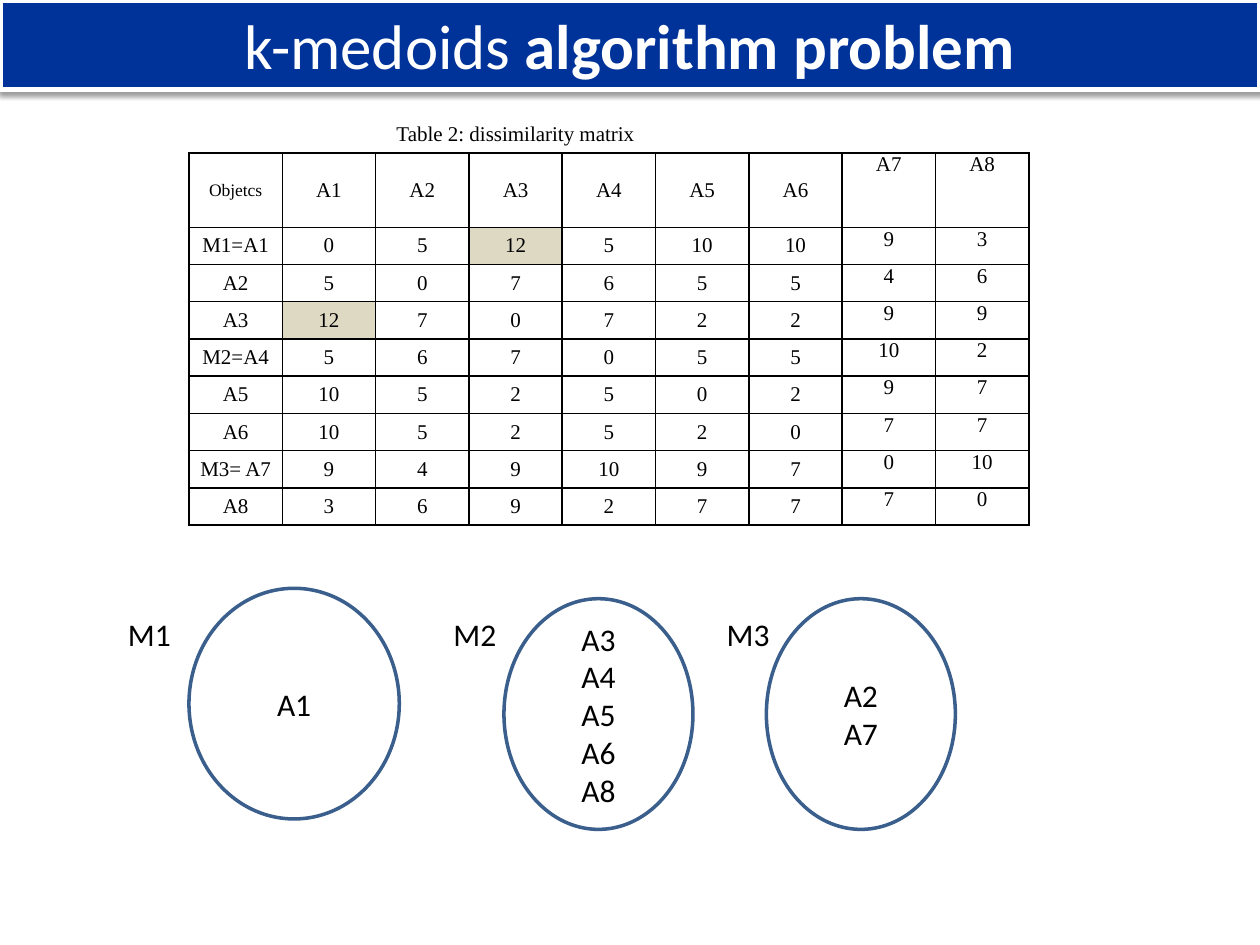
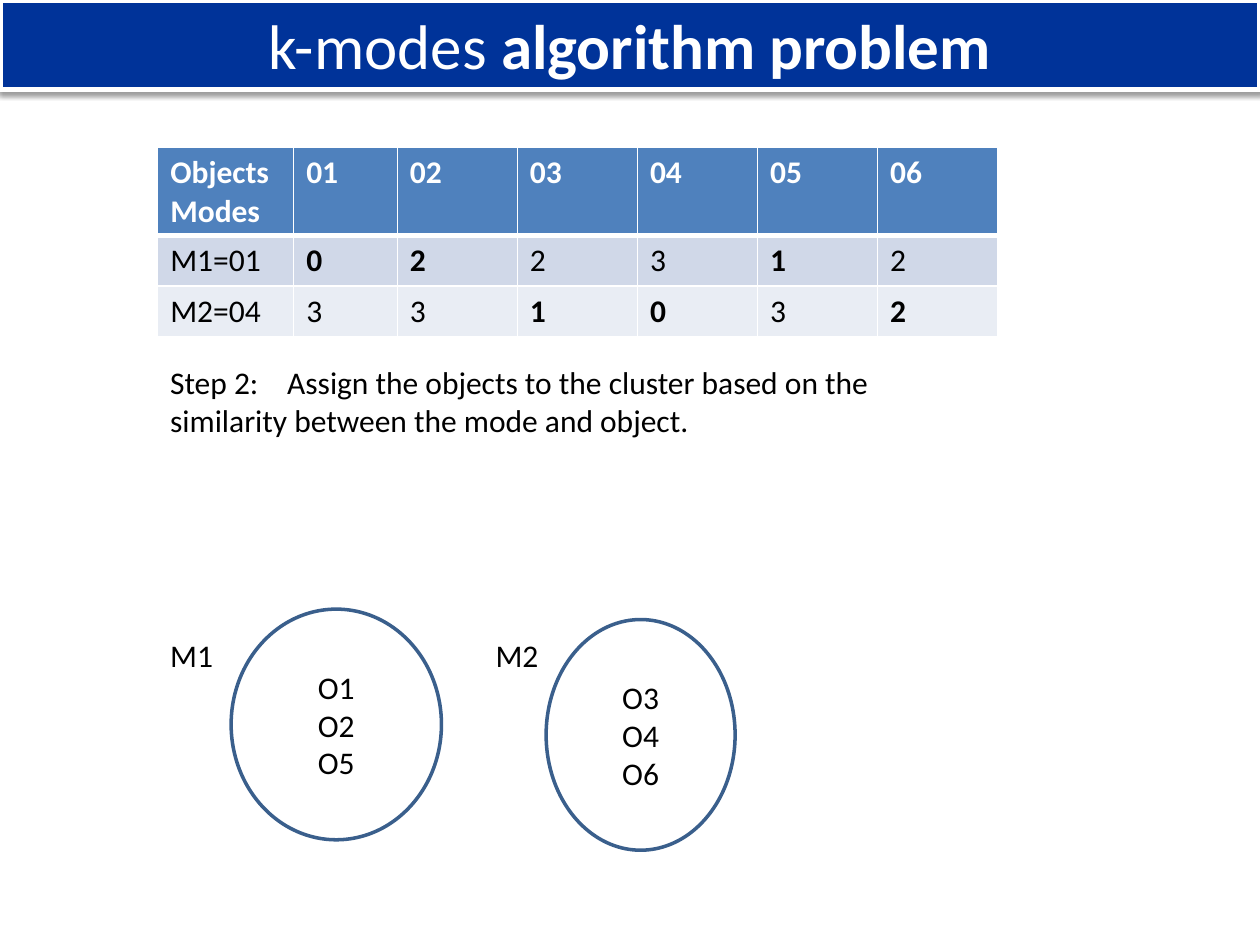
"""Build two slides on the k-medoids and k-modes clustering problems."""
from lxml import etree
from pptx import Presentation
from pptx.dml.color import RGBColor
from pptx.enum.shapes import MSO_SHAPE
from pptx.enum.text import MSO_ANCHOR, PP_ALIGN
from pptx.oxml.ns import qn
from pptx.util import Cm, Pt

RECT, OVAL = MSO_SHAPE.RECTANGLE, MSO_SHAPE.OVAL
TOP, MIDDLE = MSO_ANCHOR.TOP, MSO_ANCHOR.MIDDLE
LEFT, CENTER = PP_ALIGN.LEFT, PP_ALIGN.CENTER

NAVY = RGBColor(0x00, 0x33, 0x99)
WHITE = RGBColor(0xFF, 0xFF, 0xFF)
BLACK = RGBColor(0x00, 0x00, 0x00)
RING_BLUE = RGBColor(0x3A, 0x5F, 0x8C)
HEADER_BLUE = RGBColor(0x4F, 0x81, 0xBD)
BAND_FILLS = [RGBColor(0xD0, 0xD8, 0xE8), RGBColor(0xE9, 0xED, 0xF4)]
BEIGE = RGBColor(0xDD, 0xD9, 0xC3)

SANS, SERIF = "Calibri", "Times New Roman"
SLIDE_W, SLIDE_H = 25.4, 19.05

CAPTION = "Table 2: dissimilarity matrix"
CAPTION_SPAN = 7
LARGEST = "12"
DISSIMILARITY = [
    ["Objetcs", "A1", "A2", "A3", "A4", "A5", "A6", "A7", "A8"],
    ["M1=A1", "0", "5", "12", "5", "10", "10", "9", "3"],
    ["A2", "5", "0", "7", "6", "5", "5", "4", "6"],
    ["A3", "12", "7", "0", "7", "2", "2", "9", "9"],
    ["M2=A4", "5", "6", "7", "0", "5", "5", "10", "2"],
    ["A5", "10", "5", "2", "5", "0", "2", "9", "7"],
    ["A6", "10", "5", "2", "5", "2", "0", "7", "7"],
    ["M3= A7", "9", "4", "9", "10", "9", "7", "0", "10"],
    ["A8", "3", "6", "9", "2", "7", "7", "7", "0"],
]
MEDOID_CLUSTERS = [["A1"], ["A3", "A4", "A5", "A6", "A8"], ["A2", "A7"]]

MODES = [
    ["Objects\nModes", "01", "02", "03", "04", "05", "06"],
    ["M1=01", "0", "2", "2", "3", "1", "2"],
    ["M2=04", "3", "3", "1", "0", "3", "2"],
]
MODE_CLUSTERS = [["O1", "O2", "O5"], ["O3", "O4", "O6"]]
STEP = ("Step 2:\tAssign the objects to the cluster based on the "
        "similarity between the mode and object.")

RINGS = [(3.81, 11.86, 4.24), (10.16, 12.07, 3.81), (15.45, 12.07, 3.81)]
RING_H = 4.65
LABEL_LEFTS = [2.33, 8.89, 14.4]
LABEL_TOP = 12.28


def style(tf, size, font=SANS, color=BLACK, bold=False, align=LEFT):
    for p in tf.paragraphs:
        p.alignment = align
        for r in p.runs:
            r.font.size, r.font.name, r.font.bold = Pt(size), font, bold
            r.font.color.rgb = color


def add_text(shapes, text, x, y, w, h):
    tf = shapes.add_textbox(Cm(x), Cm(y), Cm(w), Cm(h)).text_frame
    tf.word_wrap = True
    tf.text = text
    style(tf, 18)
    return tf


def add_slide(prs, topic):
    s = prs.slides.add_slide(prs.slide_layouts[6])
    band = s.shapes.add_shape(RECT, 0, 0, Cm(SLIDE_W), Cm(1.8))
    band.fill.solid()
    band.fill.fore_color.rgb = NAVY
    band.line.color.rgb = WHITE
    band.line.width = Pt(3)
    band.shadow.inherit = False
    effects = band._element.spPr.find(qn("a:effectLst"))
    shadow = etree.SubElement(effects, qn("a:outerShdw"), blurRad="40000",
                              dist="20000", dir="5400000", rotWithShape="0")
    tone = etree.SubElement(shadow, qn("a:srgbClr"), val=str(BLACK))
    etree.SubElement(tone, qn("a:alpha"), val="38000")
    tf = band.text_frame
    tf.vertical_anchor = TOP
    p = tf.paragraphs[0]
    p.add_run().text = topic + " "
    p.add_run().text = "algorithm problem"
    style(tf, 36, color=WHITE, align=CENTER)
    p.runs[1].font.bold = True
    return s


def add_clusters(s, clusters, dx=0, dy=0):
    rows = zip(clusters, RINGS, LABEL_LEFTS)
    for n, (members, (x, y, w), label_x) in enumerate(rows, 1):
        shapes = s.shapes.add_group_shape().shapes
        ring = shapes.add_shape(OVAL, Cm(x + dx), Cm(y + dy), Cm(w), Cm(RING_H))
        ring.fill.background()
        ring.line.color.rgb = RING_BLUE
        ring.line.width = Pt(2)
        ring.shadow.inherit = False
        tf = ring.text_frame
        tf.vertical_anchor = MIDDLE
        tf.text = "\n".join(members)
        style(tf, 18, align=CENTER)
        add_text(shapes, f"M{n}", label_x + dx, LABEL_TOP + dy, 1.48, 1.03)


def add_grid(s, x, y, widths, heights):
    table = s.shapes.add_table(len(heights), len(widths), Cm(x), Cm(y),
                               Cm(sum(widths)), Cm(sum(heights))).table
    table.first_row = table.horz_banding = False
    for col, w in zip(table.columns, widths):
        col.width = Cm(w)
    for row, h in zip(table.rows, heights):
        row.height = Cm(h)
    return table


def paint(cell, fill, border, **widths):
    """Fill a cell and draw its borders; widths maps a side letter to points."""
    if fill is None:
        cell.fill.background()
    else:
        cell.fill.solid()
        cell.fill.fore_color.rgb = fill
    tc_pr = cell._tc.get_or_add_tcPr()
    sides = [side for side in "LRTB" if side in widths]
    for i, side in enumerate(sides):
        ln = etree.Element(qn(f"a:ln{side}"), w=str(Pt(widths[side])))
        solid = etree.SubElement(ln, qn("a:solidFill"))
        etree.SubElement(solid, qn("a:srgbClr"), val=str(border))
        tc_pr.insert(i, ln)


def add_dissimilarity_table(s):
    count = len(DISSIMILARITY[0])
    heights = [0.75, 1.5] + [0.75] * (len(DISSIMILARITY) - 1)
    table = add_grid(s, 3.81, 2.32, [16.93 / count] * count, heights)
    caption = [CAPTION] + [""] * (count - 1)
    for i, values in enumerate([caption] + DISSIMILARITY):
        for j, value in enumerate(values):
            cell = table.cell(i, j)
            cell.margin_left = cell.margin_right = Cm(0.18)
            cell.margin_top = cell.margin_bottom = 0
            cell.vertical_anchor = MIDDLE if j < CAPTION_SPAN else TOP
            cell.text = value
            size = 10 if (i, j) == (1, 0) else 12
            style(cell.text_frame, size, SERIF, align=CENTER)
            sides = "LRTB" if i else "B"
            fill = BEIGE if value == LARGEST else None
            paint(cell, fill, BLACK, **dict.fromkeys(sides, 1))
    table.cell(0, 0).merge(table.cell(0, CAPTION_SPAN - 1))


def add_modes_table(s):
    widths = [2.74, 2.09] + [2.42] * 5
    table = add_grid(s, 3.18, 2.97, widths, [1.78, 1.02, 1.02])
    for i, values in enumerate(MODES):
        for j, value in enumerate(values):
            cell = table.cell(i, j)
            cell.text = value
            header = i == 0
            assigned = not header and f"O{j}" in MODE_CLUSTERS[i - 1]
            style(cell.text_frame, 18, color=WHITE if header else BLACK,
                  bold=header or assigned)
            fill = HEADER_BLUE if header else BAND_FILLS[i - 1]
            paint(cell, fill, WHITE, L=1, R=1,
                  T=3 if i == 1 else 1, B=3 if header else 1)


def add_step(s):
    p = add_text(s.shapes, STEP, 3.18, 7.2, 16.51, 2.57).paragraphs[0]
    tabs = etree.SubElement(p._p.get_or_add_pPr(), qn("a:tabLst"))
    etree.SubElement(tabs, qn("a:tab"), pos=str(Cm(2.36)), algn="l")


def main():
    prs = Presentation()
    prs.slide_width, prs.slide_height = Cm(SLIDE_W), Cm(SLIDE_H)

    s = add_slide(prs, "k-medoids")
    add_clusters(s, MEDOID_CLUSTERS)
    add_dissimilarity_table(s)

    s = add_slide(prs, "k-modes")
    add_modes_table(s)
    add_clusters(s, MODE_CLUSTERS, dx=0.85, dy=0.42)
    add_step(s)

    prs.save("out.pptx")


if __name__ == "__main__":
    main()
